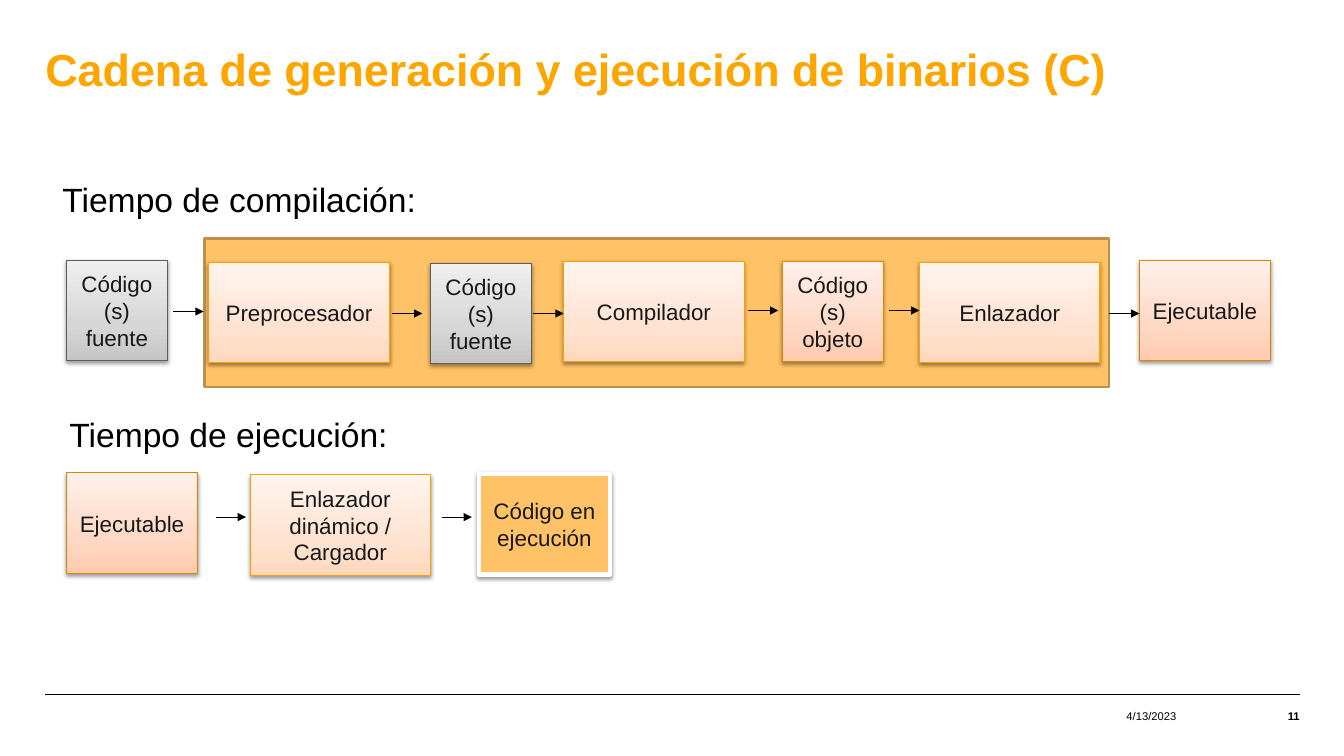
from typing import NamedTuple

from lxml import etree
from pptx import Presentation
from pptx.dml.color import RGBColor
from pptx.enum.shapes import MSO_CONNECTOR, MSO_SHAPE
from pptx.enum.text import MSO_ANCHOR, MSO_AUTO_SIZE, PP_ALIGN
from pptx.oxml.ns import qn
from pptx.util import Inches, Pt

RECTANGLE = MSO_SHAPE.RECTANGLE
STRAIGHT = MSO_CONNECTOR.STRAIGHT
TOP, MIDDLE = MSO_ANCHOR.TOP, MSO_ANCHOR.MIDDLE
LEFT, CENTER, RIGHT = PP_ALIGN.LEFT, PP_ALIGN.CENTER, PP_ALIGN.RIGHT
FIXED_SIZE = MSO_AUTO_SIZE.NONE
TITLE_ONLY = 5

FONT = "Arial"
BLACK, INK, ORANGE, AMBER = "000000", "181818", "FFA500", "FFC266"

# Grid: 13.33 columns by 7.5 rows
SLIDE_WIDTH, SLIDE_HEIGHT = Inches(13.33), Inches(7.5)
COLUMN, ROW = SLIDE_WIDTH / 13.33, SLIDE_HEIGHT / 7.5
MARGIN, RIGHT_EDGE = 0.45, 12.89
NARROW, MEDIUM, WIDE = 1, 1.3, 1.79
BOX_ROWS = 1
ARROW_COLUMNS = 0.3


class Look(NamedTuple):
    fills: tuple[str, ...]  # one solid colour, or gradient stops from the bottom up
    line: str
    line_width: float = 0.75


class Stage(NamedTuple):
    label: str
    column: float
    row: float
    columns: float
    look: Look


class Label(NamedTuple):
    text: str
    column: float
    row: float
    columns: float
    rows: float
    size: float
    bold: bool = False
    align: PP_ALIGN = LEFT
    anchor: MSO_ANCHOR = TOP
    insets: tuple[float, float] = (0.1, 0.05)


SOURCE = Look(("C5C5C5", "D6D6D6", "EFEFEF"), "5D5D5D")
TOOL = Look(("FFD8BD", "FFE3D1", "FFF4EE"), "F9A100")
BINARY = Look(("FFCAAF", "FFD9C6", "FFF0EA"), "DD8400")
RUNNING = Look((AMBER,), "FFFFFF", 3)
TOOLCHAIN = Look((AMBER,), "BD904B", 2)

STAGES = [
    # Compile time
    Stage("Código (s) fuente", 0.66, 2.58, NARROW, SOURCE),
    Stage("Preprocesador", 2.07, 2.6, WIDE, TOOL),
    Stage("Código (s) fuente", 4.27, 2.61, NARROW, SOURCE),
    Stage("Compilador", 5.59, 2.59, WIDE, TOOL),
    Stage("Código (s) objeto", 7.76, 2.59, NARROW, BINARY),
    Stage("Enlazador", 9.12, 2.6, WIDE, TOOL),
    Stage("Ejecutable", 11.3, 2.58, MEDIUM, BINARY),
    # Run time
    Stage("Ejecutable", 0.66, 4.69, MEDIUM, BINARY),
    Stage("Enlazador dinámico / Cargador", 2.48, 4.71, WIDE, TOOL),
    Stage("Código en ejecución", 4.75, 4.7, MEDIUM, RUNNING),
]

# Column and row where each arrow starts
ARROWS = [
    (1.72, 3.09), (3.89, 3.11), (5.29, 3.11), (7.42, 3.08), (8.82, 3.08), (11, 3.11),
    (2.14, 5.13), (4.38, 5.13),
]

LABELS = [
    Label("Tiempo de compilación:", 0.52, 1.73, 3.8, 0.5, 24),
    Label("Tiempo de ejecución:", 0.59, 4.06, 3.5, 0.5, 24),
    Label("4/13/2023", 10.61, 7.02, 1.06, 0.16, 8, False, RIGHT, MIDDLE, (0, 0)),
    Label("11", 12.34, 7.02, 0.55, 0.16, 8, True, RIGHT, MIDDLE, (0, 0)),
]


def color(value: str) -> RGBColor:
    return RGBColor.from_string(value)


def across(columns: float) -> int:
    return round(columns * COLUMN)


def down(rows: float) -> int:
    return round(rows * ROW)


def area(column: float, row: float, columns: float, rows: float) -> tuple[int, ...]:
    return across(column), down(row), across(columns), down(rows)


def write(frame, text: str, size: float, ink: str, bold: bool = False,
          align: PP_ALIGN = LEFT, anchor: MSO_ANCHOR = TOP) -> None:
    frame.text = text
    frame.word_wrap = True
    frame.auto_size = FIXED_SIZE
    frame.vertical_anchor = anchor
    paragraph = frame.paragraphs[0]
    paragraph.alignment = align
    font = paragraph.runs[0].font
    font.name, font.size, font.bold = FONT, Pt(size), bold
    font.color.rgb = color(ink)


def add_color_node(parent, value: str):
    return etree.SubElement(parent, qn("a:srgbClr"), val=value)


def paint(shape, look: Look) -> None:
    if len(look.fills) == 1:
        shape.fill.solid()
        shape.fill.fore_color.rgb = color(look.fills[0])
    else:
        shape.fill.gradient()
        shape.fill.gradient_angle = 90
        stops = next(shape._element.spPr.iter(qn("a:gsLst")))
        for stop in list(stops):
            stops.remove(stop)
        for position, value in zip((0, 35, 100), look.fills):
            stop = etree.SubElement(stops, qn("a:gs"), pos=str(position * 1000))
            add_color_node(stop, value)
    shape.line.color.rgb = color(look.line)
    shape.line.width = Pt(look.line_width)
    shape.shadow.inherit = False


def add_shadow(shape) -> None:
    effects = shape._element.spPr.find(qn("a:effectLst"))
    shadow = etree.SubElement(
        effects, qn("a:outerShdw"), blurRad=str(Pt(3.1)), dist=str(Pt(1.6)),
        dir="5400000", rotWithShape="0")
    etree.SubElement(add_color_node(shadow, BLACK), qn("a:alpha"), val="38000")


def add_stage(page, stage: Stage) -> None:
    box = page.shapes.add_shape(
        RECTANGLE, *area(stage.column, stage.row, stage.columns, BOX_ROWS))
    paint(box, stage.look)
    add_shadow(box)
    write(box.text_frame, stage.label, 16, INK, align=CENTER, anchor=MIDDLE)


def add_line(page, column: float, row: float, columns: float, width: float,
             arrow: bool = False) -> None:
    line = page.shapes.add_connector(
        STRAIGHT, across(column), down(row), across(column + columns), down(row))
    line.line.color.rgb = color(BLACK)
    line.line.width = Pt(width)
    if arrow:
        etree.SubElement(line.line._get_or_add_ln(), qn("a:tailEnd"), type="triangle")
    etree.SubElement(line._element.spPr, qn("a:effectLst"))


def add_label(page, label: Label) -> None:
    box = page.shapes.add_textbox(
        *area(label.column, label.row, label.columns, label.rows))
    frame = box.text_frame
    side, edge = label.insets
    frame.margin_left = frame.margin_right = across(side)
    frame.margin_top = frame.margin_bottom = down(edge)
    write(frame, label.text, label.size, BLACK, label.bold, label.align, label.anchor)


deck = Presentation()
deck.slide_width, deck.slide_height = SLIDE_WIDTH, SLIDE_HEIGHT
page = deck.slides.add_slide(deck.slide_layouts[TITLE_ONLY])

# Title
title = page.shapes.title
title.left, title.top, title.width, title.height = area(
    MARGIN, 0.42, RIGHT_EDGE - MARGIN, 1.02)
title_frame = title.text_frame
write(title_frame, "Cadena de generación y ejecución de binarios (C)", 32, ORANGE, True)
title_frame.margin_left = title_frame.margin_bottom = 0
title_frame.margin_top, title_frame.margin_right = down(0.03), across(0.1)
title_frame.paragraphs[0].line_spacing = 0.95

# Footer rule and toolchain panel
add_line(page, MARGIN, 6.89, RIGHT_EDGE - MARGIN, 0.35)
panel = page.shapes.add_shape(RECTANGLE, *area(2.03, 2.37, 8.97, 1.47))
paint(panel, TOOLCHAIN)

# Stages, arrows and labels
for stage in STAGES:
    add_stage(page, stage)
for arrow_column, arrow_row in ARROWS:
    add_line(page, arrow_column, arrow_row, ARROW_COLUMNS, 0.75, arrow=True)
for label in LABELS:
    add_label(page, label)

deck.save("out.pptx")
